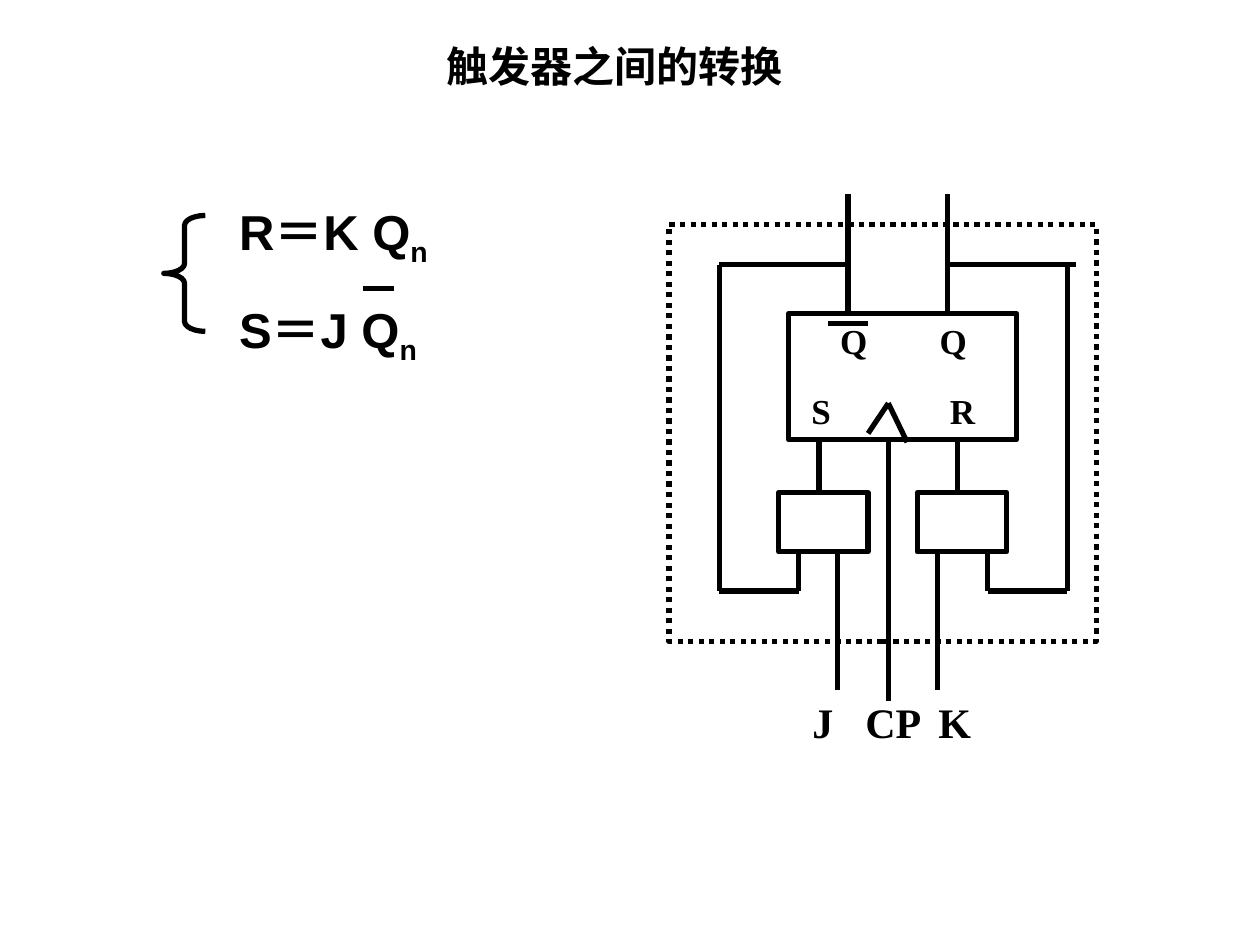
from dataclasses import dataclass

from lxml.etree import SubElement
from pptx import Presentation
from pptx.dml.color import RGBColor
from pptx.enum.dml import MSO_LINE_DASH_STYLE as Dash
from pptx.enum.shapes import MSO_CONNECTOR as Connector, MSO_SHAPE as Preset
from pptx.enum.text import MSO_ANCHOR as Anchor, MSO_AUTO_SIZE as AutoSize, PP_ALIGN as Align
from pptx.oxml.ns import qn
from pptx.util import Inches, Pt


@dataclass(frozen=True)
class Theme:
    ink: RGBColor = RGBColor(0, 0, 0)
    paper: RGBColor = RGBColor(255, 255, 255)
    sans: str = "Arial"
    serif: str = "Times New Roman"
    title: Pt = Pt(24)
    equation: Pt = Pt(28)
    pin: Pt = Pt(20)
    terminal: Pt = Pt(24)
    equation_gap: Pt = Pt(17.5)
    stroke: Pt = Pt(3)


THEME = Theme()


@dataclass(frozen=True)
class Box:
    left: float
    top: float
    width: float
    height: float

    def inside(self, left, top, width, height):
        return Box(self.left + left, self.top + top, width, height)

    def lengths(self):
        return [Inches(value) for value in (self.left, self.top, self.width, self.height)]


def add_run(paragraph, text, size, font_name, subscript=False):
    run = paragraph.add_run()
    run.text = text
    run.font.name = font_name
    run.font.size = size
    run.font.bold = True
    run.font.color.rgb = THEME.ink
    if subscript:
        run._r.get_or_add_rPr().set("baseline", "-25000")


def add_label(shapes, box, text, size):
    label = shapes.add_textbox(*box.lengths())
    label.text_frame.word_wrap = True
    add_run(label.text_frame.paragraphs[0], text, size, THEME.serif)


def add_outline(shapes, preset, box, dash=None):
    shape = shapes.add_shape(preset, *box.lengths())
    shape.shadow.inherit = False
    shape.fill.background()
    shape.line.color.rgb = THEME.ink
    shape.line.width = THEME.stroke
    if dash is not None:
        shape.line.dash_style = dash
    return shape


def add_wire(shapes, box, start, end):
    points = [Inches(value) for x, y in (start, end) for value in (box.left + x, box.top + y)]
    wire = shapes.add_connector(Connector.STRAIGHT, *points)
    wire.line.color.rgb = THEME.ink
    wire.line.width = THEME.stroke
    SubElement(wire._element.spPr, qn("a:effectLst"))


def add_title(slide, box):
    title = slide.shapes.title
    title.left, title.top, title.width, title.height = box.lengths()
    frame = title.text_frame
    frame.auto_size = AutoSize.NONE
    frame.vertical_anchor = Anchor.TOP
    paragraph = frame.paragraphs[0]
    paragraph.alignment = Align.CENTER
    add_run(paragraph, "触发器之间的转换", THEME.title, THEME.sans)


def add_equations(slide, box):
    shapes = slide.shapes.add_group_shape().shapes
    textbox = shapes.add_textbox(*box.inside(0.5, -0.16, 2.33, 1.41).lengths())
    frame = textbox.text_frame
    frame.word_wrap = True
    for index, equation in enumerate(("R＝K Q", "S＝J Q")):
        paragraph = frame.add_paragraph() if index else frame.paragraphs[0]
        if index:
            paragraph.space_before = THEME.equation_gap
        add_run(paragraph, equation, THEME.equation, THEME.sans)
        add_run(paragraph, "n", THEME.equation, THEME.sans, subscript=True)
    brace = add_outline(shapes, Preset.LEFT_BRACE, box.inside(0, 0, 0.33, 0.92))
    brace.adjustments[0] = 0.24
    add_wire(shapes, box, (1.58, 0.58), (1.83, 0.58))


def add_flip_flop(slide, box):
    shapes = slide.shapes.add_group_shape().shapes
    core_top, core_bottom = 0.71, 1.73
    gate_top, gate_bottom = 2.13, 2.6
    bus_top, bus_bottom = 0.32, 2.91
    clock, not_q, q = 1.74, 1.42, 2.21
    left_bus, right_bus = 0.4, 3.16
    left_feedback, right_feedback = 1.03, 2.53

    add_outline(shapes, Preset.RECTANGLE, box.inside(0.95, core_top, 1.81, 1))
    for gate_left in (0.87, 1.97):
        add_outline(shapes, Preset.RECTANGLE, box.inside(gate_left, gate_top, 0.71, 0.47))

    vertical_wires = (
        (clock, core_bottom, 3.78),
        (1.34, gate_bottom, 3.7),
        (2.13, gate_bottom, 3.7),
        (not_q, core_top, -0.24),
        (q, core_top, -0.24),
        (1.19, core_bottom, gate_top),
        (2.29, core_bottom, gate_top),
        (left_feedback, gate_bottom, bus_bottom),
        (right_feedback, gate_bottom, bus_bottom),
        (left_bus, bus_top, bus_bottom),
        (right_bus, bus_top, bus_bottom),
    )
    for x, start, end in vertical_wires:
        add_wire(shapes, box, (x, start), (x, end))

    horizontal_wires = (
        (bus_top, left_bus, not_q),
        (bus_top, q, 3.23),
        (bus_bottom, left_bus, left_feedback),
        (bus_bottom, right_feedback, right_bus),
        (0.79, 1.26, 1.58),
    )
    for y, start, end in horizontal_wires:
        add_wire(shapes, box, (start, y), (end, y))

    for clock_edge in ((1.58, 1.66), (1.89, core_bottom)):
        add_wire(shapes, box, (clock, 1.42), clock_edge)

    pins = (("Q", 1.26, 0.71), ("S", 1.03, 1.26), ("Q", 2.05, 0.71), ("R", 2.13, 1.26))
    for text, left, top in pins:
        add_label(shapes, box.inside(left, top, 0.39, 0.44), text, THEME.pin)
    for text, left, width in (("J", 1.04, 0.4), ("CP", 1.46, 0.66), ("K", 2.04, 0.5)):
        add_label(shapes, box.inside(left, 3.7, width, 0.5), text, THEME.terminal)

    add_outline(shapes, Preset.RECTANGLE, box, Dash.ROUND_DOT)


def main():
    presentation = Presentation()
    presentation.slide_width = Inches(10)
    presentation.slide_height = Inches(7.5)
    slide = presentation.slides.add_slide(presentation.slide_layouts[5])
    slide.background.fill.solid()
    slide.background.fill.fore_color.rgb = THEME.paper
    add_title(slide, Box(2.4, 0.27, 4.96, 0.5))
    add_equations(slide, Box(1.3, 1.71, 2.83, 1.25))
    add_flip_flop(slide, Box(5.31, 1.78, 3.39, 3.31))
    presentation.save("out.pptx")


if __name__ == "__main__":
    main()
